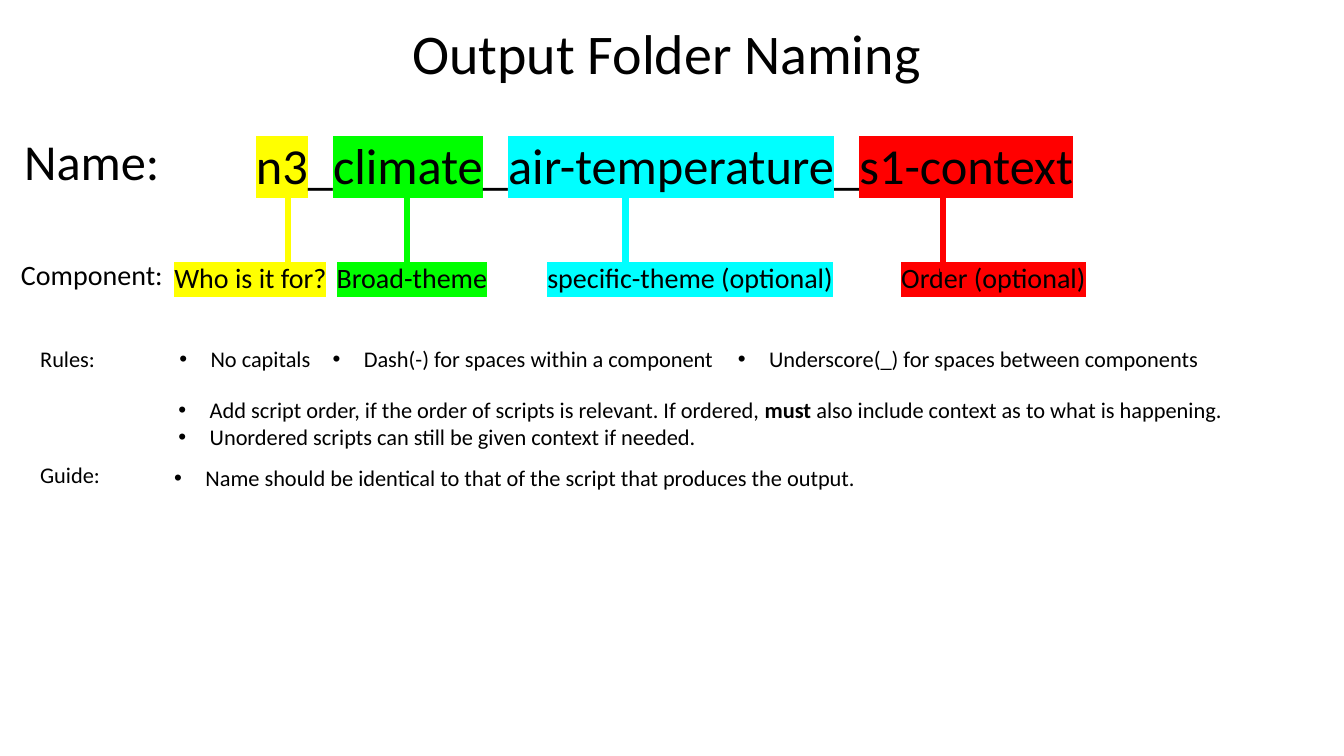
from lxml import etree
from pptx import Presentation
from pptx.dml.color import RGBColor
from pptx.enum.shapes import MSO_SHAPE
from pptx.enum.text import MSO_ANCHOR, MSO_AUTO_SIZE, PP_ALIGN
from pptx.oxml.ns import qn
from pptx.util import Inches, Pt

RECT = MSO_SHAPE.RECTANGLE
TOP = MSO_ANCHOR.TOP
FIXED = MSO_AUTO_SIZE.NONE
LEFT = PP_ALIGN.LEFT
CELL = Inches(0.1)
COLS, ROWS = 133.3, 75
FONT = "Calibri"
BLACK, YELLOW, GREEN, CYAN, RED = "000000", "FFFF00", "00FF00", "00FFFF", "FF0000"


def tint(code):
    """Turn a hex string into a colour."""
    return RGBColor.from_string(code)


def span(cells):
    """Turn grid cells into a length."""
    return round(cells * CELL)


def mark(run, code):
    """Highlight a run."""
    light = etree.Element(qn("a:highlight"))
    etree.SubElement(light, qn("a:srgbClr"), val=code)
    run._r.get_or_add_rPr().find(qn("a:solidFill")).addnext(light)


def dot(para):
    """Give a paragraph a hanging bullet."""
    props = para._p.get_or_add_pPr()
    props.set("marL", str(span(3.1)))
    props.set("indent", str(-span(3.1)))
    etree.SubElement(props, qn("a:buFont"), typeface="Arial")
    etree.SubElement(props, qn("a:buChar"), char="•")


def write(shape, lines, size, bullet=False):
    """Fill a shape with lines of (text, highlight, bold) runs."""
    frame = shape.text_frame
    frame.word_wrap = False
    frame.auto_size = FIXED
    frame.vertical_anchor = TOP
    for i, line in enumerate(lines):
        para = frame.add_paragraph() if i else frame.paragraphs[0]
        para.alignment = LEFT
        para.space_before = Pt(0)
        if bullet:
            dot(para)
        for text, light, bold in line:
            run = para.add_run()
            run.text = text
            run.font.name = FONT
            run.font.size = Pt(size)
            run.font.bold = bold
            run.font.color.rgb = tint(BLACK)
            if light:
                mark(run, light)


def place(shape, box):
    """Move a shape to a box of grid cells."""
    shape.left, shape.top, shape.width, shape.height = map(span, box)


def label(slide, box, text, size, light=None, bullet=False):
    """Add a one-line text box."""
    shape = slide.shapes.add_textbox(*map(span, box))
    write(shape, [[(text, light, False)]], size, bullet)


def stem(slide, box, code):
    """Add a thin bar that ties a name part to its meaning."""
    bar = slide.shapes.add_shape(RECT, *map(span, box))
    bar.shadow.inherit = False
    bar.fill.solid()
    bar.fill.fore_color.rgb = tint(code)
    bar.line.color.rgb = tint(code)
    bar.line.width = Pt(1)


def head(slide, box):
    """Set the title."""
    place(slide.shapes.title, box)
    write(slide.shapes.title, [[("Output Folder Naming", None, False)]], 40)


def scheme(slide, box):
    """Draw the sample name and the meaning of each part."""
    x, y, wide, _ = box
    label(slide, (x + 0.3, y, 15.6, 7.1), "Name:", 36)
    label(slide, (x, y + 12.7, 16.2, 4.4), "Component:", 20)
    parts = [
        ("n3", "Who is it for?", YELLOW, 15.2, 17.2, 27.2, 6.2),
        ("climate", "Broad-theme", GREEN, 31.3, 17.1, 39, 6.1),
        ("air-temperature", "specific-theme (optional)", CYAN, 52.2, 30.7, 60.7, 6.1),
        ("s1-context", "Order (optional)", RED, 87.3, 20.5, 92.2, 6.6),
    ]
    runs = []
    for name, _, code, *_ in parts:
        if runs:
            runs.append(("_", None, False))
        runs.append((name, code, False))
    name = slide.shapes.add_textbox(*map(span, (x + 23.3, y + 0.4, wide - 23.3, 7.1)))
    write(name, [runs], 36)
    for _, sense, code, left, width, mid, drop in parts:
        label(slide, (x + left, y + 13, width, 4.4), sense, 20, code)
        stem(slide, (x + mid, y + drop, 0.5, 7.9), code)


def rules(slide, box):
    """List the naming rules."""
    x, y, wide, _ = box
    label(slide, (x, y, 7.5, 3.7), "Rules:", 16)
    notes = [
        ("No capitals", 13.8, 15.2),
        ("Dash(-) for spaces within a component", 29, 40.2),
        ("Underscore(_) for spaces between components", 69.2, 49),
    ]
    for text, left, width in notes:
        label(slide, (x + left, y, width, 3.7), text, 16, bullet=True)
    body = slide.placeholders[1]
    place(body, (x + 13.7, y + 5, wide - 13.7, 6.4))
    order = [
        ("Add script order, if the order of scripts is relevant. If ordered, ", None, False),
        ("must", None, True),
        (" also include context as to what is happening.", None, False),
    ]
    free = [("Unordered scripts can still be given context if needed.", None, False)]
    write(body, [order, free], 16, True)


def guide(slide, box):
    """Add the closing guide."""
    x, y, wide, _ = box
    label(slide, (x, y, 8, 3.7), "Guide:", 16)
    text = "Name should be identical to that of the script that produces the output."
    label(slide, (x + 13.3, y + 0.3, wide - 13.3, 3.7), text, 16, bullet=True)


def main():
    """Build and save the slide."""
    deck = Presentation()
    deck.slide_width, deck.slide_height = span(COLS), span(ROWS)
    slide = deck.slides.add_slide(deck.slide_layouts[1])
    head(slide, (39.9, 1.3, 53, 7.7))
    scheme(slide, (1.1, 12.4, 107.2, 17.4))
    rules(slide, (3, 33.8, 121, 11.4))
    guide(slide, (3, 45.3, 83.7, 4))
    deck.save("out.pptx")


if __name__ == "__main__":
    main()
